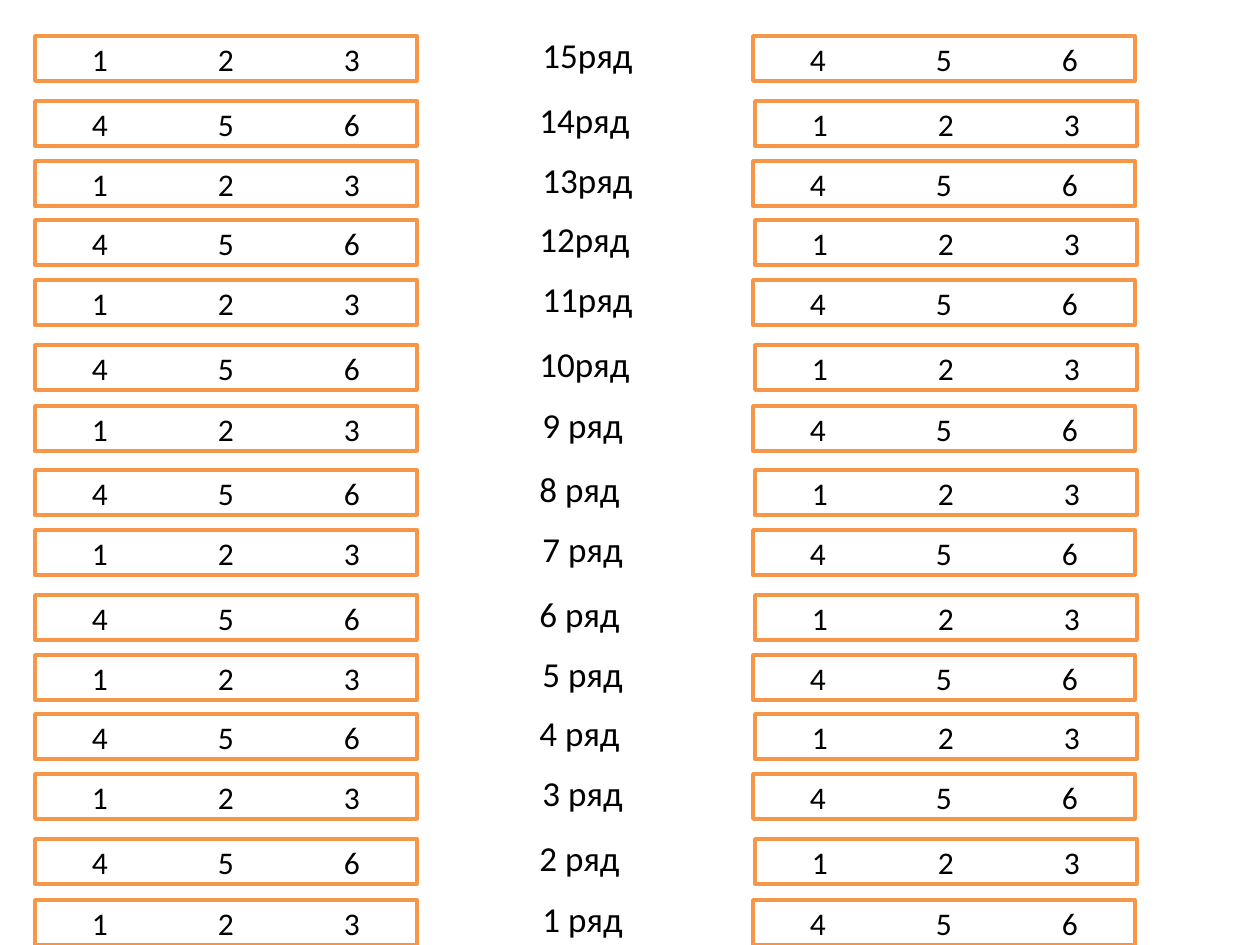
from dataclasses import dataclass

from lxml.etree import SubElement
from pptx import Presentation
from pptx.dml.color import RGBColor
from pptx.enum.shapes import MSO_SHAPE
from pptx.enum.text import MSO_ANCHOR as Anchor, MSO_AUTO_SIZE as AutoSize, PP_ALIGN as Align
from pptx.oxml.ns import qn
from pptx.shapes.base import BaseShape
from pptx.slide import Slide
from pptx.util import Pt

PX = 914400 // 126
INCH = 126
WHITE = RGBColor(0xFF, 0xFF, 0xFF)
BLACK = RGBColor(0x00, 0x00, 0x00)
ORANGE = RGBColor(0xF7, 0x96, 0x46)

BLOCK_WIDTH, BLOCK_HEIGHT = 382, 45
LABEL_WIDTH, LABEL_HEIGHT = 118, 55
LABEL_RISE = 9
LEFT_BLOCK = 35
FRONT_SEATS, BACK_SEATS = "1\t2\t3", "4\t5\t6"
ROW_TOPS = (900, 839, 774, 714, 655, 595, 530, 470, 406, 345, 280, 220, 161, 101, 36)


@dataclass(frozen=True)
class RowPattern:
    left_seats: str
    right_seats: str
    label_left: int
    right_block: int


ODD_ROW = RowPattern(FRONT_SEATS, BACK_SEATS, 530, 753)
EVEN_ROW = RowPattern(BACK_SEATS, FRONT_SEATS, 527, 755)


def write_text(shape: BaseShape, text: str, *, size: int, align: Align = Align.LEFT,
               anchor: Anchor = Anchor.TOP, wrap: bool = True,
               tab_stops: tuple[int, ...] = ()) -> None:
    frame = shape.text_frame
    frame.word_wrap = wrap
    frame.vertical_anchor = anchor
    paragraph = frame.paragraphs[0]
    paragraph.alignment = align
    if tab_stops:
        tabs = SubElement(paragraph._p.get_or_add_pPr(), qn("a:tabLst"))
        for stop in tab_stops:
            SubElement(tabs, qn("a:tab"), pos=str(stop * PX), algn="l")
    run = paragraph.add_run()
    run.text = text
    run.font.name = "Calibri"
    run.font.size = Pt(size)
    run.font.color.rgb = BLACK


def draw_block(slide: Slide, left: int, top: int, seats: str) -> None:
    block = slide.shapes.add_shape(MSO_SHAPE.RECTANGLE, left * PX, top * PX,
                                   BLOCK_WIDTH * PX, BLOCK_HEIGHT * PX)
    block.shadow.inherit = False
    block.fill.solid()
    block.fill.fore_color.rgb = WHITE
    block.line.color.rgb = ORANGE
    block.line.width = Pt(2)
    write_text(block, seats, size=18, align=Align.CENTER, anchor=Anchor.MIDDLE,
               tab_stops=(INCH, 2 * INCH))


def draw_label(slide: Slide, left: int, top: int, number: int) -> None:
    label = slide.shapes.add_textbox(left * PX, top * PX, LABEL_WIDTH * PX, LABEL_HEIGHT * PX)
    gap = " " if number < 10 else ""
    write_text(label, f"{number}{gap}ряд", size=20)
    label.text_frame.auto_size = AutoSize.SHAPE_TO_FIT_TEXT


def draw_row(slide: Slide, number: int, top: int) -> None:
    pattern = ODD_ROW if number % 2 else EVEN_ROW
    draw_block(slide, LEFT_BLOCK, top, pattern.left_seats)
    draw_label(slide, pattern.label_left, top - LABEL_RISE, number)
    draw_block(slide, pattern.right_block, top, pattern.right_seats)


def main() -> None:
    deck = Presentation()
    deck.slide_width = 10 * INCH * PX
    deck.slide_height = 945 * PX
    hall = deck.slides.add_slide(deck.slide_layouts[6])
    for number, top in enumerate(ROW_TOPS, start=1):
        draw_row(hall, number, top)
    deck.save("out.pptx")


if __name__ == "__main__":
    main()
